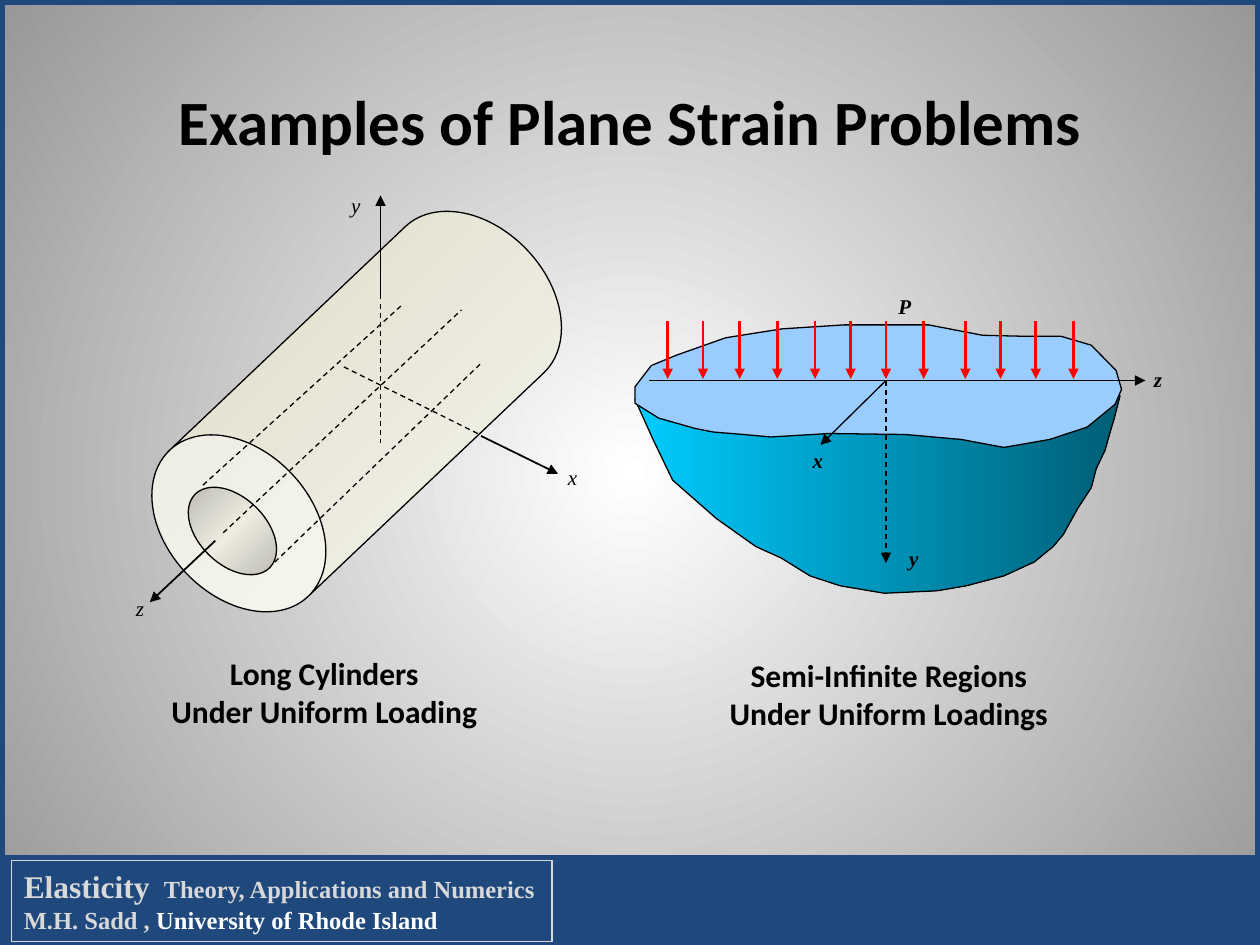
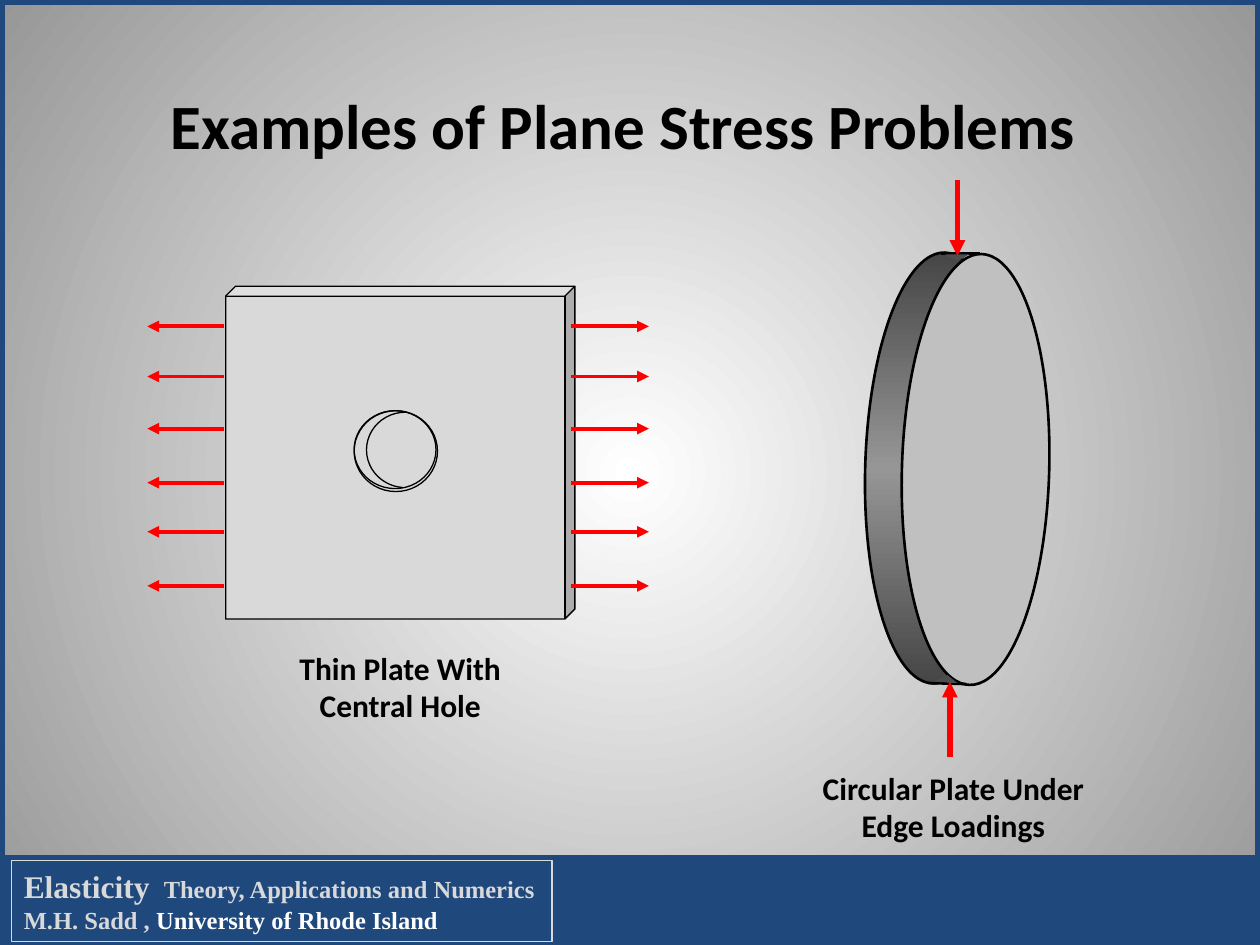
from dataclasses import dataclass
from typing import Optional

from lxml import etree
from pptx import Presentation
from pptx import util as u
from pptx.dml.color import RGBColor
from pptx.enum import dml, shapes, text
from pptx.oxml import ns

Kind = shapes.MSO_SHAPE


@dataclass(frozen=True)
class Theme:
    black: str = "000000"
    white: str = "FFFFFF"
    red: str = "FF0000"
    navy: str = "1F497D"
    pale: str = "D9D9D9"
    disk: str = "C0C0C0"
    disk_edge: str = "4D4D4D"
    water: str = "99CCFF"
    backdrop: tuple = ("FFFFFF", "979797")
    cylinder: tuple = ("DDD9C3", "F7F7F2")
    bore: tuple = ("AAA9A1", "EEECE1", "AAA9A1")
    ground: tuple = ("00CCFF", "005E76")
    rim: tuple = ("454545", "969696", "454545")
    sans: str = "Calibri"
    serif: str = "Times New Roman"
    title: float = 36
    caption: float = 18
    label: float = 12
    brand: float = 18
    brand_gap: float = 16
    brand_detail: float = 14
    thin: float = 0.75
    axis: float = 1
    medium: float = 1.5
    pull: float = 2.25
    push: float = 3


THEME = Theme()


@dataclass(frozen=True)
class Box:
    left: float
    top: float
    width: float
    height: float

    def lengths(self):
        return [u.Cm(value) for value in (self.left, self.top, self.width, self.height)]


@dataclass(frozen=True)
class Line:
    x1: float
    y1: float
    x2: float
    y2: float
    weight: float = THEME.thin
    color: str = THEME.black
    dashed: bool = False
    arrow: bool = False


@dataclass(frozen=True)
class Figure:
    kind: Kind
    box: Box
    fill: Optional[object] = None
    angle: int = 0
    rotation: float = 0
    adjust: tuple = ()
    line: Optional[str] = THEME.black
    weight: float = THEME.thin


@dataclass(frozen=True)
class Label:
    words: str
    left: float
    top: float
    bold: bool = False


@dataclass(frozen=True)
class Caption:
    lines: tuple
    left: float
    top: float
    width: float = 7.14


def paint_gradient(owner, colors: tuple, angle: Optional[int] = None) -> None:
    gradient = next(owner.iter(ns.qn("a:gradFill")))
    for child in list(gradient):
        gradient.remove(child)
    gradient.set("rotWithShape", "0")
    stops = etree.SubElement(gradient, ns.qn("a:gsLst"))
    for index, color in enumerate(colors):
        position = 100000 * index // (len(colors) - 1)
        stop = etree.SubElement(stops, ns.qn("a:gs"), pos=str(position))
        etree.SubElement(stop, ns.qn("a:srgbClr"), val=color)
    if angle is None:
        circle = etree.SubElement(gradient, ns.qn("a:path"), path="circle")
        etree.SubElement(circle, ns.qn("a:fillToRect"), l="50000", t="50000", r="50000", b="50000")
    else:
        etree.SubElement(gradient, ns.qn("a:lin"), ang=str(angle * 60000), scaled="1")


def style_shape(shape, fill, line: Optional[str], weight: float, angle: int = 0) -> None:
    shape.shadow.inherit = False
    if fill is None:
        shape.fill.background()
    elif isinstance(fill, tuple):
        shape.fill.gradient()
        paint_gradient(shape.element, fill, angle)
    else:
        shape.fill.solid()
        shape.fill.fore_color.rgb = RGBColor.from_string(fill)
    if line is None:
        shape.line.fill.background()
    else:
        shape.line.color.rgb = RGBColor.from_string(line)
        shape.line.width = u.Pt(weight)


def draw_figure(slide, figure: Figure):
    shape = slide.shapes.add_shape(figure.kind, *figure.box.lengths())
    for index, value in enumerate(figure.adjust):
        shape.adjustments[index] = value
    shape.rotation = figure.rotation
    style_shape(shape, figure.fill, figure.line, figure.weight, figure.angle)
    return shape


def draw_outline(slide, points: list, fill, line: Optional[str] = THEME.black, angle: int = 0) -> None:
    corners = [(u.Cm(x), u.Cm(y)) for x, y in points]
    builder = slide.shapes.build_freeform(*corners[0])
    builder.add_line_segments(corners[1:], close=True)
    style_shape(builder.convert_to_shape(), fill, line, THEME.thin, angle)


def draw_lines(slide, lines: list) -> None:
    for line in lines:
        ends = [u.Cm(value) for value in (line.x1, line.y1, line.x2, line.y2)]
        connector = slide.shapes.add_connector(shapes.MSO_CONNECTOR.STRAIGHT, *ends)
        connector.line.color.rgb = RGBColor.from_string(line.color)
        connector.line.width = u.Pt(line.weight)
        if line.dashed:
            connector.line.dash_style = dml.MSO_LINE.DASH
        properties = connector.element.spPr
        if line.arrow:
            etree.SubElement(properties.find(ns.qn("a:ln")), ns.qn("a:tailEnd"), type="triangle")
        etree.SubElement(properties, ns.qn("a:effectLst"))


def add_run(paragraph, words: str, size: float, font: str, color: str = THEME.black,
            bold: bool = True, italic: bool = False):
    run = paragraph.add_run()
    run.text = words
    run.font.size = u.Pt(size)
    run.font.name = font
    run.font.bold = bold
    run.font.italic = italic
    run.font.color.rgb = RGBColor.from_string(color)
    return run


def draw_labels(slide, labels: list) -> None:
    for label in labels:
        box = Box(label.left, label.top, 0.84, 0.81)
        frame = slide.shapes.add_textbox(*box.lengths()).text_frame
        frame.word_wrap = True
        add_run(frame.paragraphs[0], label.words, THEME.label, THEME.serif, bold=label.bold, italic=True)


def draw_caption(slide, caption: Caption) -> None:
    box = Box(caption.left, caption.top, caption.width, 1.78)
    frame = slide.shapes.add_textbox(*box.lengths()).text_frame
    frame.word_wrap = True
    paragraph = frame.paragraphs[0]
    paragraph.alignment = text.PP_ALIGN.CENTER
    for index, words in enumerate(caption.lines):
        if index:
            paragraph.add_line_break()
        add_run(paragraph, words, THEME.caption, THEME.sans)


def add_titled_slide(presentation, words: str, box: Box):
    slide = presentation.slides.add_slide(presentation.slide_layouts[5])
    title = slide.shapes.title
    title.left, title.top, title.width, title.height = box.lengths()
    frame = title.text_frame
    frame.auto_size = text.MSO_AUTO_SIZE.NONE
    frame.vertical_anchor = text.MSO_ANCHOR.MIDDLE
    paragraph = frame.paragraphs[0]
    paragraph.alignment = text.PP_ALIGN.CENTER
    add_run(paragraph, words, THEME.title, THEME.sans)
    return slide


def draw_frame_and_footer(slide) -> None:
    draw_figure(slide, Figure(Kind.RECTANGLE, Box(0, 0, 25.4, 19.05), line=THEME.navy, weight=6))
    draw_figure(slide, Figure(Kind.RECTANGLE, Box(0, 17.27, 25.4, 1.78), THEME.navy,
                              line=THEME.navy, weight=2))
    credit = draw_figure(slide, Figure(Kind.RECTANGLE, Box(0.23, 17.35, 10.9, 1.63), line=THEME.pale))
    frame = credit.text_frame
    frame.word_wrap = False
    frame.auto_size = text.MSO_AUTO_SIZE.SHAPE_TO_FIT_TEXT
    frame.vertical_anchor = text.MSO_ANCHOR.TOP
    paragraph = frame.paragraphs[0]
    paragraph.alignment = text.PP_ALIGN.LEFT
    add_run(paragraph, "Elasticity", THEME.brand, THEME.serif, THEME.pale)
    gap = add_run(paragraph, " ", THEME.brand_gap, THEME.serif, THEME.pale)
    gap.font._element.set("spc", "400")
    add_run(paragraph, "Theory, Applications and Numerics", THEME.brand_detail, THEME.serif, THEME.pale)
    paragraph.add_line_break()
    add_run(paragraph, "M.H. Sadd , ", THEME.brand_detail, THEME.serif, THEME.pale)
    add_run(paragraph, "University of Rhode Island", THEME.brand_detail, THEME.serif, THEME.white)


def draw_long_cylinder(slide) -> None:
    draw_figure(slide, Figure(Kind.CAN, Box(5.16, 3.56, 4.06, 9.47), THEME.cylinder, 45, 226.5, (0.72,)))
    draw_figure(slide, Figure(Kind.OVAL, Box(3.63, 10.03, 2.11, 1.35), THEME.bore, 45, 44.4))
    axes = [(4.34, 10.9, 3.02, 12.14), (9.7, 8.79, 11.25, 9.55), (7.67, 6.02, 7.67, 3.94)]
    hidden = [(7.67, 6.12, 7.67, 8.94), (9.63, 8.74, 6.88, 7.37), (4.5, 10.74, 9.3, 6.25),
              (4.09, 9.78, 8.08, 6.17), (5.54, 11.33, 9.68, 7.34)]
    draw_lines(slide, [Line(*ends, weight=THEME.axis, arrow=True) for ends in axes])
    draw_lines(slide, [Line(*ends, dashed=True) for ends in hidden])
    draw_labels(slide, [Label("x", 11.2, 9.25), Label("y", 6.83, 3.76), Label("z", 2.49, 11.89)])


def draw_half_space(slide) -> None:
    ground = [(12.8, 8.05), (13.18, 8.89), (13.56, 9.68), (14.45, 10.46), (15.24, 11.02),
              (15.75, 11.25), (16.33, 11.61), (16.94, 11.81), (17.83, 11.96), (18.9, 11.91),
              (19.48, 11.81), (20.24, 11.61), (20.85, 11.33), (21.23, 11.02), (21.44, 10.77),
              (21.72, 10.26), (22, 9.83), (22.1, 9.45), (22.28, 9.07), (22.38, 8.71),
              (22.45, 8.48), (22.58, 7.98), (19.28, 7.95), (15.39, 8.05), (13.56, 8.18),
              (13.18, 7.98)]
    surface = [(15.77, 6.63), (14.63, 6.81), (13.64, 7.16), (13.13, 7.37), (12.8, 7.8),
               (12.8, 8.13), (13.28, 8.43), (14.02, 8.64), (14.38, 8.71), (14.99, 8.76),
               (15.54, 8.81), (16.71, 8.74), (18.26, 8.76), (19.38, 8.86), (20.24, 9.02),
               (21.16, 8.86), (21.92, 8.61), (22.48, 8.15), (22.61, 7.85), (22.5, 7.47),
               (22, 6.96), (21.39, 6.78), (20.65, 6.78), (19.81, 6.76), (18.72, 6.55),
               (18.06, 6.55), (17.02, 6.55)]
    load_columns = [13.46, 14.17, 14.91, 15.67, 16.43, 17.15, 17.86, 18.62, 19.46, 20.17, 20.88, 21.64]
    draw_outline(slide, ground, THEME.ground)
    draw_outline(slide, surface, THEME.water)
    draw_lines(slide, [
        Line(13.08, 7.67, 23.09, 7.67, arrow=True),
        Line(17.86, 7.67, 16.54, 8.97, arrow=True),
        Line(17.86, 7.49, 17.86, 11.35, dashed=True, arrow=True),
    ])
    draw_labels(slide, [Label("x", 16.13, 8.89, True), Label("y", 18.08, 10.87, True),
                        Label("z", 23.01, 7.26, True), Label("P", 17.86, 5.79, True)])
    draw_lines(slide, [Line(x, 6.48, x, 7.64, THEME.medium, THEME.red, arrow=True)
                       for x in load_columns])


def draw_circular_plate(slide) -> None:
    for left, top, fill in ((14.58, 7.95, THEME.rim), (15.32, 7.98, THEME.disk)):
        draw_figure(slide, Figure(Kind.OVAL, Box(left, top, 8.69, 2.97), fill, 90, 91.6,
                                  weight=THEME.medium))
    draw_lines(slide, [
        Line(19.76, 5.11, 18.97, 5.11, THEME.medium),
        Line(19.48, 13.79, 18.72, 13.77, THEME.medium),
        Line(19.15, 15.27, 19.15, 13.74, THEME.push, THEME.red, arrow=True),
        Line(19.3, 3.63, 19.3, 5.16, THEME.push, THEME.red, arrow=True),
    ])
    upper_edge = [(19.05, 5.13), (19.53, 5.13), (19.41, 5.21), (19.3, 5.26)]
    lower_edge = [(18.82, 13.74), (19.3, 13.77), (19.1, 13.61)]
    for edge in (upper_edge, lower_edge):
        draw_outline(slide, edge, THEME.disk_edge, line=None)


def draw_plate_with_hole(slide) -> None:
    draw_figure(slide, Figure(Kind.CUBE, Box(4.55, 5.77, 7.04, 6.71), THEME.pale, adjust=(0.03,)))
    pull_rows = [6.58, 7.59, 8.64, 9.73, 10.72, 11.81]
    for start, end in ((11.51, 13.08), (4.52, 2.97)):
        draw_lines(slide, [Line(start, y, end, y, THEME.pull, THEME.red, arrow=True) for y in pull_rows])
    draw_figure(slide, Figure(Kind.OVAL, Box(7.14, 8.28, 1.65, 1.57)))
    draw_figure(slide, Figure(Kind.ARC, Box(7.39, 8.31, 1.57, 1.52), adjust=(57, 162)))
    draw_figure(slide, Figure(Kind.OVAL, Box(7.14, 8.28, 1.68, 1.63)))


def main() -> None:
    presentation = Presentation()
    presentation.slide_width, presentation.slide_height = u.Cm(25.4), u.Cm(19.05)
    master = presentation.slide_master
    master.background.fill.gradient()
    paint_gradient(master.element, THEME.backdrop)

    strain = add_titled_slide(presentation, "Examples of Plane Strain Problems", Box(3.28, 1.37, 18.85, 2.13))
    draw_long_cylinder(strain)
    draw_half_space(strain)
    draw_caption(strain, Caption(("Long Cylinders", "Under Uniform Loading"), 2.97, 13.06))
    draw_caption(strain, Caption(("Semi-Infinite Regions Under Uniform Loadings",), 14.25, 13.11, 7.34))
    draw_frame_and_footer(strain)

    stress = add_titled_slide(presentation, "Examples of Plane Stress Problems", Box(2.39, 1.42, 20.35, 2.18))
    draw_caption(stress, Caption(("Thin Plate With", "Central Hole"), 4.5, 12.95))
    draw_circular_plate(stress)
    draw_caption(stress, Caption(("Circular Plate Under", "Edge Loadings"), 15.65, 15.37))
    draw_plate_with_hole(stress)
    draw_frame_and_footer(stress)

    presentation.save("out.pptx")


if __name__ == "__main__":
    main()
